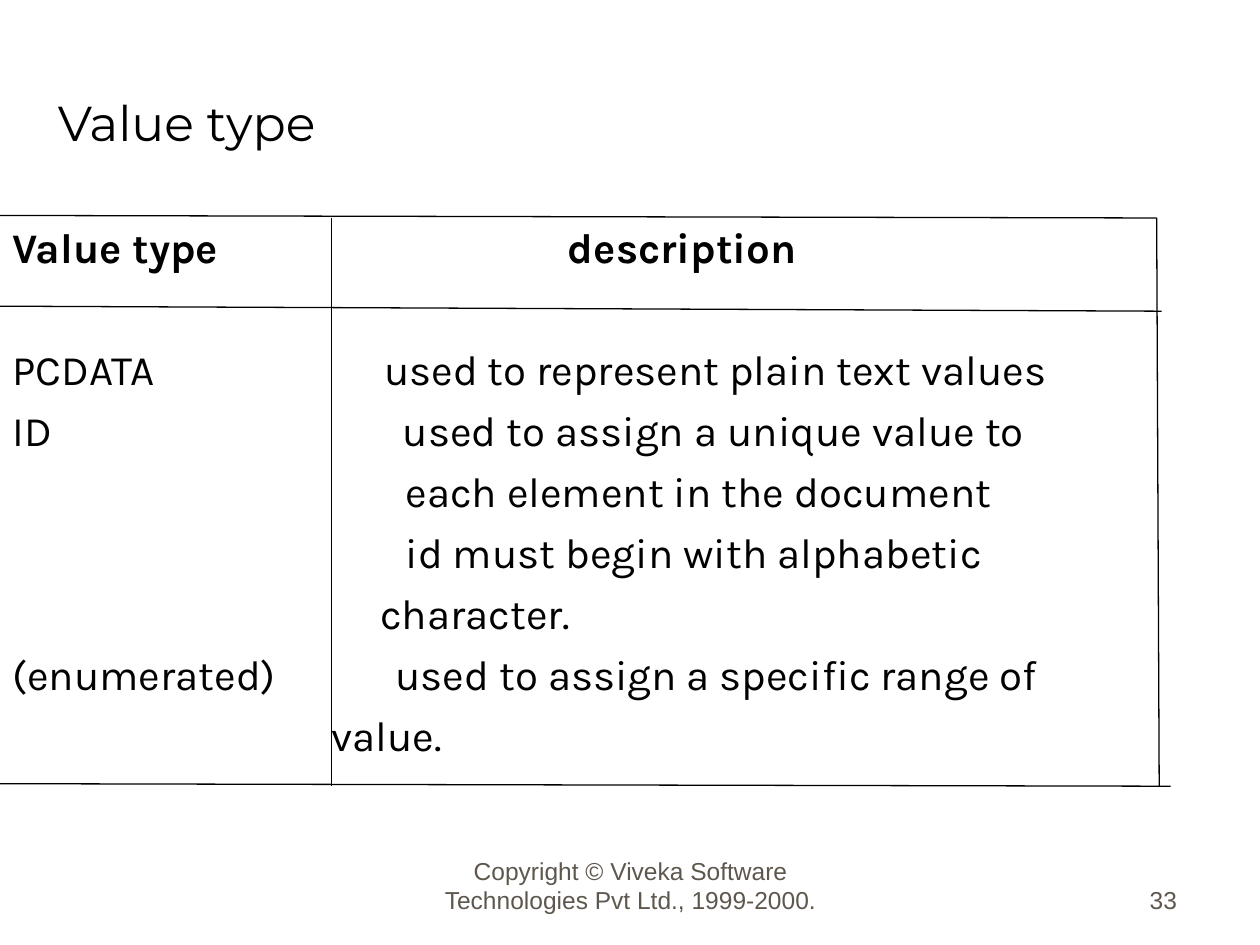
from dataclasses import dataclass
from lxml.etree import SubElement as Sub
from pptx import Presentation
from pptx.dml.color import RGBColor as Rgb
from pptx.enum.shapes import MSO_CONNECTOR as Link
from pptx.enum.text import MSO_ANCHOR as Anchor, MSO_AUTO_SIZE as Fit, PP_ALIGN as Align
from pptx.oxml.ns import qn
from pptx.util import Inches, Pt


@dataclass(frozen=True)
class Theme:
    ink: str = "000000"
    grey: str = "5E574E"
    head: tuple = ("Montserrat", 28)
    body: tuple = ("Karla", 24)
    foot: tuple = ("Arial", 14)
    rule: float = 0.75
    gap: float = 6
    skip: float = 41


class Deck:
    """Hold the theme and the slide, and place parts by percent of its size."""

    def __init__(self, theme):
        self.theme = theme
        self.prs = Presentation()
        self.prs.slide_width, self.prs.slide_height = Inches(10), Inches(7.5)
        self.slide = self.prs.slides.add_slide(self.prs.slide_layouts[5])

    def spot(self, x, y):
        return (int(self.prs.slide_width * x / 100),
                int(self.prs.slide_height * y / 100))

    def style(self, para, face, tint, bold=False):
        font = para.font
        font.name, font.size, font.bold = face[0], Pt(face[1]), bold
        font.color.rgb = Rgb.from_string(tint)

    def title(self, text, x, y, w, h):
        shape = self.slide.shapes.title
        shape.left, shape.top = self.spot(x, y)
        shape.width, shape.height = self.spot(w, h)
        frame = shape.text_frame
        frame.text = text
        frame.auto_size, frame.vertical_anchor = Fit.NONE, Anchor.BOTTOM
        frame.paragraphs[0].alignment = Align.LEFT
        self.style(frame.paragraphs[0], self.theme.head, self.theme.ink)

    def box(self, x, y, w, h):
        shape = self.slide.shapes.add_textbox(*self.spot(x, y), *self.spot(w, h))
        shape.text_frame.word_wrap = True
        return shape.text_frame

    def foot(self, text, x, w, align):
        frame = self.box(x, 90.8, w, 6.67)
        frame.vertical_anchor = Anchor.BOTTOM
        para = frame.paragraphs[0]
        para.text, para.alignment = text, align
        self.style(para, self.theme.foot, self.theme.grey)

    def rows(self, rows, x, y, w, h):
        frame = self.box(x, y, w, h)
        for i, (term, stop, note) in enumerate(rows):
            para = frame.paragraphs[0] if i == 0 else frame.add_paragraph()
            para.text = f"{term}\t{note}"
            if i:
                para.space_before = Pt(self.theme.skip if i == 1 else self.theme.gap)
            tabs = Sub(para._p.get_or_add_pPr(), qn("a:tabLst"))
            edge = self.spot(stop, 0)[0] - frame.margin_left
            Sub(tabs, qn("a:tab"), pos=str(edge), algn="l")
            self.style(para, self.theme.body, self.theme.ink, bold=i == 0)

    def line(self, x, y, to_x, to_y):
        link = self.slide.shapes.add_connector(
            Link.STRAIGHT, *self.spot(x, y), *self.spot(to_x, to_y))
        link.line.color.rgb = Rgb.from_string(self.theme.ink)
        link.line.width = Pt(self.theme.rule)
        Sub(link._element.spPr, qn("a:effectLst"))


ROWS = [
    ("Value type", 45.1, "description"),
    ("PCDATA", 30.5, "used to represent plain text values"),
    ("ID", 32, "used to assign a unique value to"),
    ("", 32.2, "each element in the document"),
    ("", 32.2, "id must begin with alphabetic"),
    ("", 30.2, "character."),
    ("(enumerated)", 31.4, "used to assign a specific range of"),
    ("", 26.3, "value."),
]
LINES = [
    (0, 22.8, 91.8, 23.07),
    (91.8, 23.07, 92, 83.2),
    (0, 82.93, 92.9, 83.2),
    (0, 32.4, 92.2, 32.93),
    (26.3, 23.07, 26.3, 83.2),
]


def main():
    deck = Deck(Theme())
    deck.title("Value type", 3.6, 10, 85, 6.67)
    deck.rows(ROWS, 0, 22.8, 94, 60.8)
    for ends in LINES:
        deck.line(*ends)
    deck.foot("Copyright © Viveka Software Technologies Pvt Ltd., 1999-2000.",
              34.2, 31.7, Align.CENTER)
    deck.foot("33", 73.6, 20.8, Align.RIGHT)
    deck.prs.save("out.pptx")


if __name__ == "__main__":
    main()
